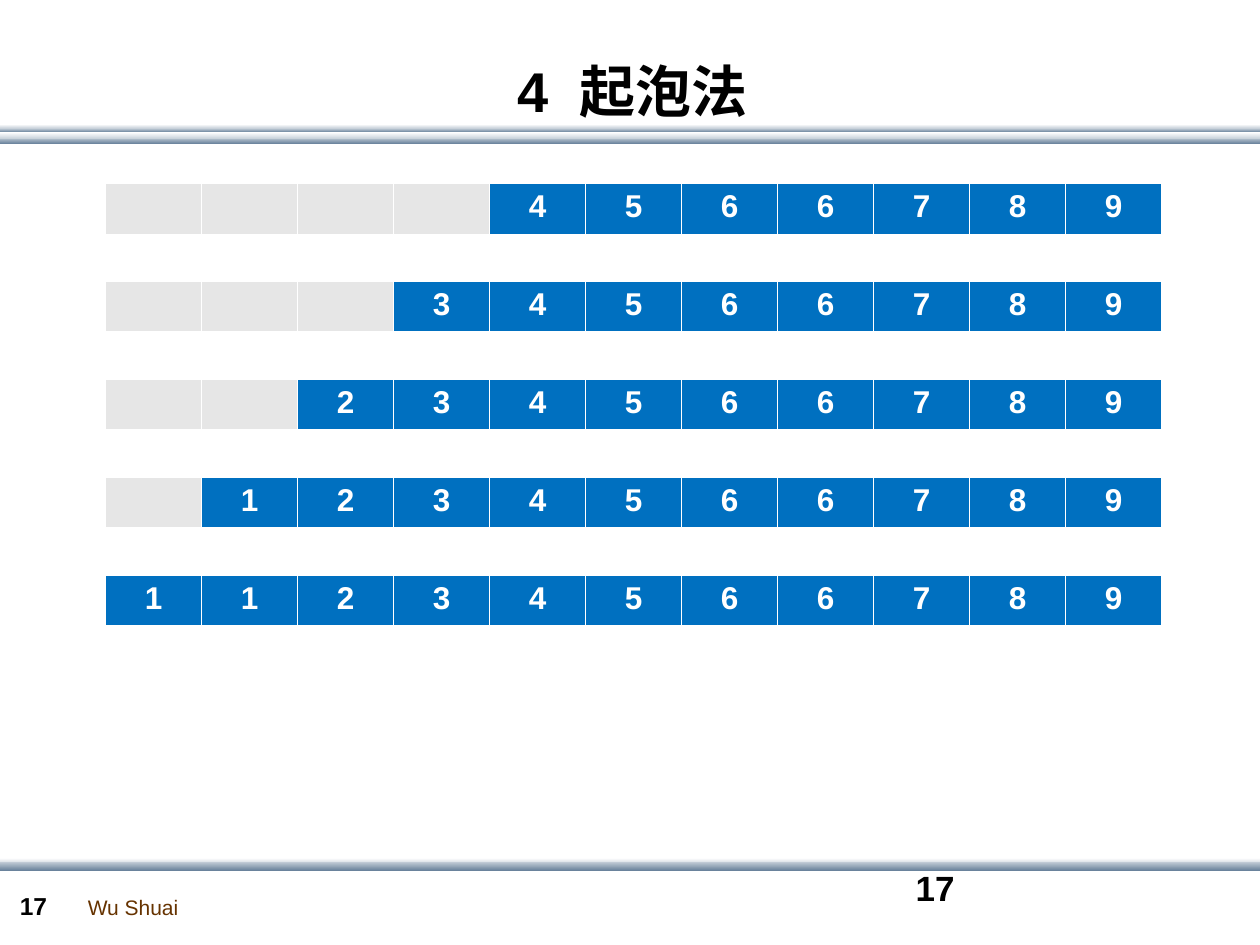
from lxml import etree
from pptx import Presentation
from pptx.dml.color import RGBColor
from pptx.enum.shapes import MSO_SHAPE
from pptx.enum.text import MSO_ANCHOR, PP_ALIGN
from pptx.oxml.ns import qn
from pptx.util import Cm, Pt

RECT = MSO_SHAPE.RECTANGLE
MIDDLE = MSO_ANCHOR.MIDDLE
CENTER = PP_ALIGN.CENTER
WHITE, BLACK, BROWN = "FFFFFF", "000000", "663300"
BLUE, GREY = "0070C0", "E6E6E6"
PALE, STEEL = "C8D1DA", "6A839C"
EDGES = (("lnL", 0.45), ("lnR", 0.45), ("lnT", 0.45), ("lnB", 1.47))


def color(code):
    return RGBColor.from_string(code)


class Deck:
    face = "Arial"

    def __init__(self):
        self.prs = Presentation()
        self.prs.slide_width, self.prs.slide_height = Cm(25.4), Cm(19.05)
        self.slide = self.prs.slides.add_slide(self.prs.slide_layouts[5])

    def style(self, para, size, tone, bold=True):
        font = para.font
        font.name, font.size, font.bold = self.face, Pt(size), bold
        font.color.rgb = color(tone)

    def title(self, text, left, top, width, height):
        box = self.slide.shapes.title
        box.left, box.top = Cm(left), Cm(top)
        box.width, box.height = Cm(width), Cm(height)
        frame = box.text_frame
        frame.text = text
        frame.vertical_anchor = MIDDLE
        para = frame.paragraphs[0]
        para.alignment = CENTER
        self.style(para, 32, BLACK)

    def band(self, top, height, start, end):
        """Draw a full-width bar that shades from start down to end."""
        bar = self.slide.shapes.add_shape(RECT, 0, Cm(top), Cm(25.43), Cm(height))
        bar.shadow.inherit = False
        bar.line.fill.background()
        bar.fill.gradient()
        bar.fill.gradient_angle = 270
        for stop, tone, place in zip(bar.fill.gradient_stops, (start, end), (0, 1)):
            stop.color.rgb = color(tone)
            stop.position = place

    def label(self, text, left, top, width, height, size, tone, bold=True, wrap=True):
        box = self.slide.shapes.add_textbox(Cm(left), Cm(top), Cm(width), Cm(height))
        frame = box.text_frame
        frame.word_wrap = wrap
        frame.text = text
        self.style(frame.paragraphs[0], size, tone, bold)

    def border(self, cell):
        props = cell._tc.get_or_add_tcPr()
        for edge, width in EDGES:
            line = etree.SubElement(props, qn(f"a:{edge}"), w=str(Pt(width)))
            fill = etree.SubElement(line, qn("a:solidFill"))
            etree.SubElement(fill, qn("a:srgbClr"), val=WHITE)

    def strip(self, values, left, top, width, height):
        """Add a one-row table; empty values give grey cells."""
        table = self.slide.shapes.add_table(
            1, len(values), Cm(left), Cm(top), Cm(width), Cm(height)).table
        table.first_row = table.horz_banding = False
        for cell, value in zip(table.rows[0].cells, values):
            self.border(cell)
            cell.fill.solid()
            cell.fill.fore_color.rgb = color(BLUE if value else GREY)
            if value:
                cell.text = value
                para = cell.text_frame.paragraphs[0]
                para.alignment = CENTER
                self.style(para, 18, WHITE)


def main():
    deck = Deck()
    for top, height, start, end in (
        (2.77, 0.13, PALE, STEEL),
        (2.59, 0.08, PALE, STEEL),
        (2.67, 0.13, WHITE, PALE),
        (2.51, 0.08, WHITE, PALE),
        (17.3, 0.13, WHITE, PALE),
        (17.37, 0.18, PALE, STEEL),
    ):
        deck.band(top, height, start, end)

    deck.label("Wu Shuai", 1.52, 17.91, 2.34, 0.76, 12, BROWN, bold=False, wrap=False)
    deck.label("17", 0.15, 17.83, 1.4, 0.86, 14, BLACK)
    deck.label("17", 18.21, 17.35, 5.92, 1.27, 20, BLACK)
    deck.title("4  起泡法", 0.56, 1.12, 24.38, 1.4)

    done = "11234566789"
    for step in range(5):
        blank = 4 - step
        values = [""] * blank + list(done[blank:])
        deck.strip(values, 2.13, 3.69 + 1.975 * step, 21.29, 1.04)

    deck.prs.save("out.pptx")


if __name__ == "__main__":
    main()
